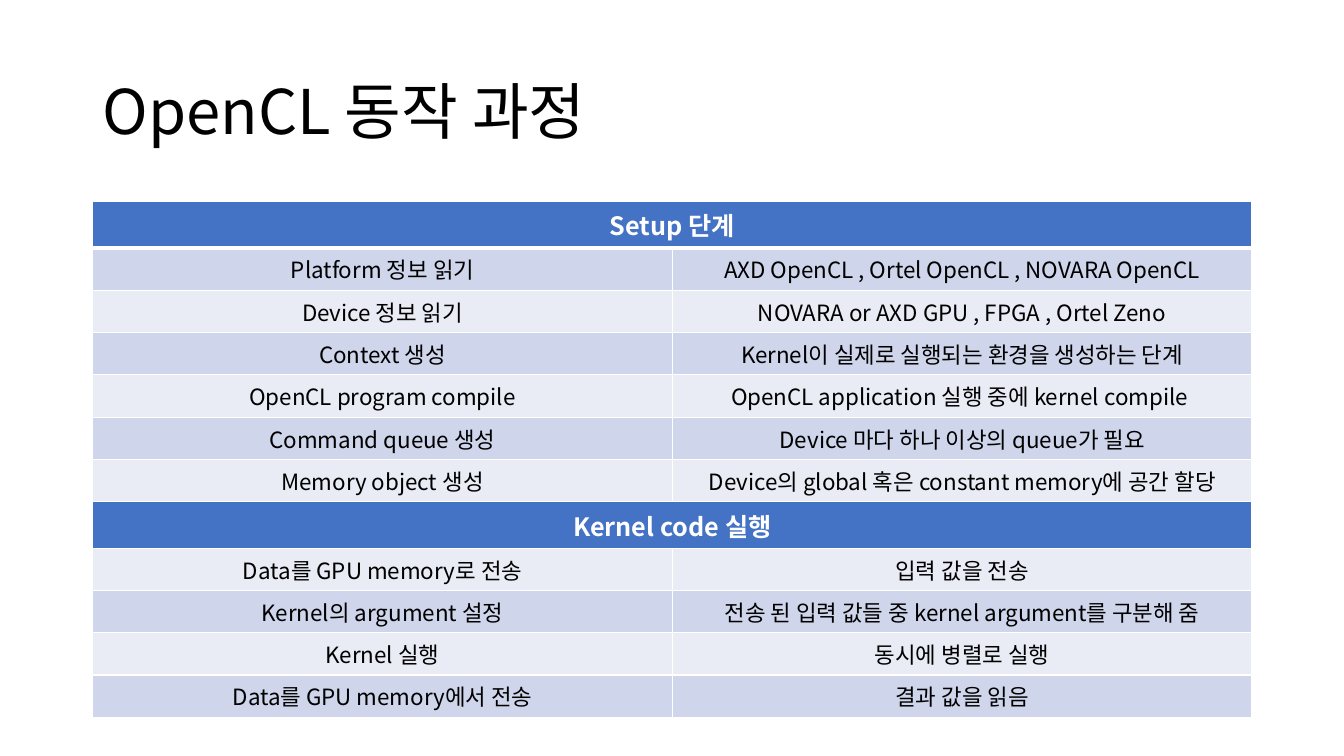
from dataclasses import dataclass

from lxml import etree
from pptx import Presentation
from pptx.dml.color import RGBColor
from pptx.enum.text import MSO_ANCHOR, PP_ALIGN
from pptx.oxml.ns import qn
from pptx.slide import Slide
from pptx.table import _Cell
from pptx.text.text import _Paragraph
from pptx.util import Emu, Pt

CENTER = PP_ALIGN.CENTER
LEFT = PP_ALIGN.LEFT
MIDDLE = MSO_ANCHOR.MIDDLE

FONT = "Noto Sans CJK KR"
BLACK = RGBColor(0x00, 0x00, 0x00)
WHITE = RGBColor(0xFF, 0xFF, 0xFF)
BLUE = RGBColor(0x44, 0x72, 0xC4)
DARK_BAND = RGBColor(0xCF, 0xD5, 0xEA)
LIGHT_BAND = RGBColor(0xE9, 0xEB, 0xF5)

EMU_PER_PX = 6096
SLIDE_WIDTH, SLIDE_HEIGHT = 2000, 1125
CONTENT_LEFT, CONTENT_WIDTH = 138, 1725
TITLE_TOP, TITLE_HEIGHT = 62, 217
TABLE_TOP, HEADING_HEIGHT, STEP_HEIGHT = 300, 69, 63
THIN, THICK = 1, 3


@dataclass(frozen=True)
class TextFormat:
    size: int
    color: RGBColor
    bold: bool
    alignment: PP_ALIGN


@dataclass(frozen=True)
class Step:
    name: str
    detail: str


@dataclass(frozen=True)
class Stage:
    heading: str
    steps: tuple[Step, ...]


TITLE_FORMAT = TextFormat(44, BLACK, False, LEFT)
HEADING_FORMAT = TextFormat(18, WHITE, True, CENTER)
STEP_FORMAT = TextFormat(16, BLACK, False, CENTER)

STAGES = (
    Stage("Setup 단계", (
        Step("Platform 정보 읽기", "AXD OpenCL , Ortel OpenCL , NOVARA OpenCL"),
        Step("Device 정보 읽기", "NOVARA or AXD GPU , FPGA , Ortel Zeno"),
        Step("Context 생성", "Kernel이 실제로 실행되는 환경을 생성하는 단계"),
        Step("OpenCL program compile", "OpenCL application 실행 중에 kernel compile "),
        Step("Command queue 생성", "Device 마다 하나 이상의 queue가 필요"),
        Step("Memory object 생성", "Device의 global 혹은 constant memory에 공간 할당"),
    )),
    Stage("Kernel code 실행", (
        Step("Data를 GPU memory로 전송", "입력 값을 전송"),
        Step("Kernel의 argument 설정", "전송 된 입력 값들 중 kernel argument를 구분해 줌"),
        Step("Kernel 실행", "동시에 병렬로 실행"),
        Step("Data를 GPU memory에서 전송", "결과 값을 읽음"),
    )),
)


def px(length: int) -> Emu:
    return Emu(length * EMU_PER_PX)


def write_text(paragraph: _Paragraph, text: str, text_format: TextFormat) -> None:
    paragraph.alignment = text_format.alignment
    run = paragraph.add_run()
    run.text = text
    values = {"name": FONT, "size": Pt(text_format.size), "bold": text_format.bold}
    for attribute, value in values.items():
        setattr(run.font, attribute, value)
    run.font.color.rgb = text_format.color
    east_asian = etree.SubElement(run._r.get_or_add_rPr(), qn("a:ea"))
    east_asian.set("typeface", FONT)


def style_cell(cell: _Cell, fill: RGBColor, top: int, bottom: int) -> None:
    cell.fill.solid()
    cell.fill.fore_color.rgb = fill
    properties = cell._tc.get_or_add_tcPr()
    widths = {"a:lnL": THIN, "a:lnR": THIN, "a:lnT": top, "a:lnB": bottom}
    for position, (tag, width) in enumerate(widths.items()):
        border = etree.Element(qn(tag), w=str(Pt(width)))
        solid = etree.SubElement(border, qn("a:solidFill"))
        etree.SubElement(solid, qn("a:srgbClr"), val=str(WHITE))
        properties.insert(position, border)


def add_title(slide: Slide, text: str) -> None:
    box = slide.shapes.add_textbox(
        px(CONTENT_LEFT), px(TITLE_TOP), px(CONTENT_WIDTH), px(TITLE_HEIGHT)
    )
    frame = box.text_frame
    frame.word_wrap = True
    frame.vertical_anchor = MIDDLE
    paragraph = frame.paragraphs[0]
    paragraph.line_spacing = 0.9
    write_text(paragraph, text, TITLE_FORMAT)


def add_stage_table(slide: Slide, stages: tuple[Stage, ...]) -> None:
    rows: list[tuple[str, ...]] = []
    for stage in stages:
        rows.append((stage.heading,))
        rows.extend((step.name, step.detail) for step in stage.steps)
    heights = [HEADING_HEIGHT if len(texts) == 1 else STEP_HEIGHT for texts in rows]
    table = slide.shapes.add_table(
        len(rows), 2, px(CONTENT_LEFT), px(TABLE_TOP),
        px(CONTENT_WIDTH), px(sum(heights)),
    ).table
    for index, texts in enumerate(rows):
        table.rows[index].height = px(heights[index])
        is_heading = len(texts) == 1
        band = DARK_BAND if index % 2 else LIGHT_BAND
        top = THICK if index == 1 else THIN
        bottom = THICK if index == 0 else THIN
        for column in range(2):
            style_cell(table.cell(index, column), BLUE if is_heading else band, top, bottom)
        if is_heading:
            table.cell(index, 0).merge(table.cell(index, 1))
        text_format = HEADING_FORMAT if is_heading else STEP_FORMAT
        for column, text in enumerate(texts):
            paragraph = table.cell(index, column).text_frame.paragraphs[0]
            write_text(paragraph, text, text_format)


def main() -> None:
    presentation = Presentation()
    presentation.slide_width = px(SLIDE_WIDTH)
    presentation.slide_height = px(SLIDE_HEIGHT)
    slide = presentation.slides.add_slide(presentation.slide_layouts[6])
    add_title(slide, "OpenCL 동작 과정")
    add_stage_table(slide, STAGES)
    presentation.save("out.pptx")


if __name__ == "__main__":
    main()
